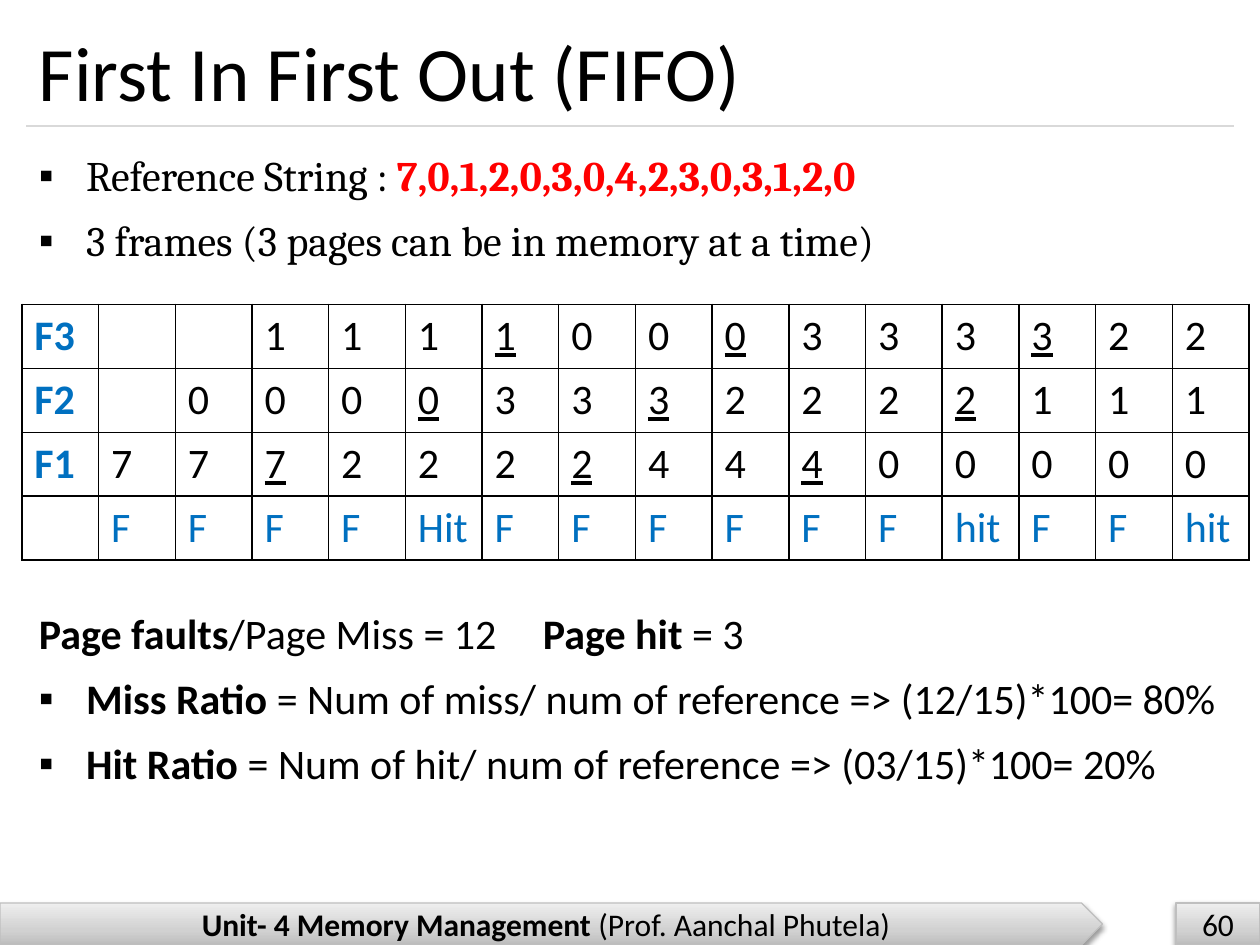
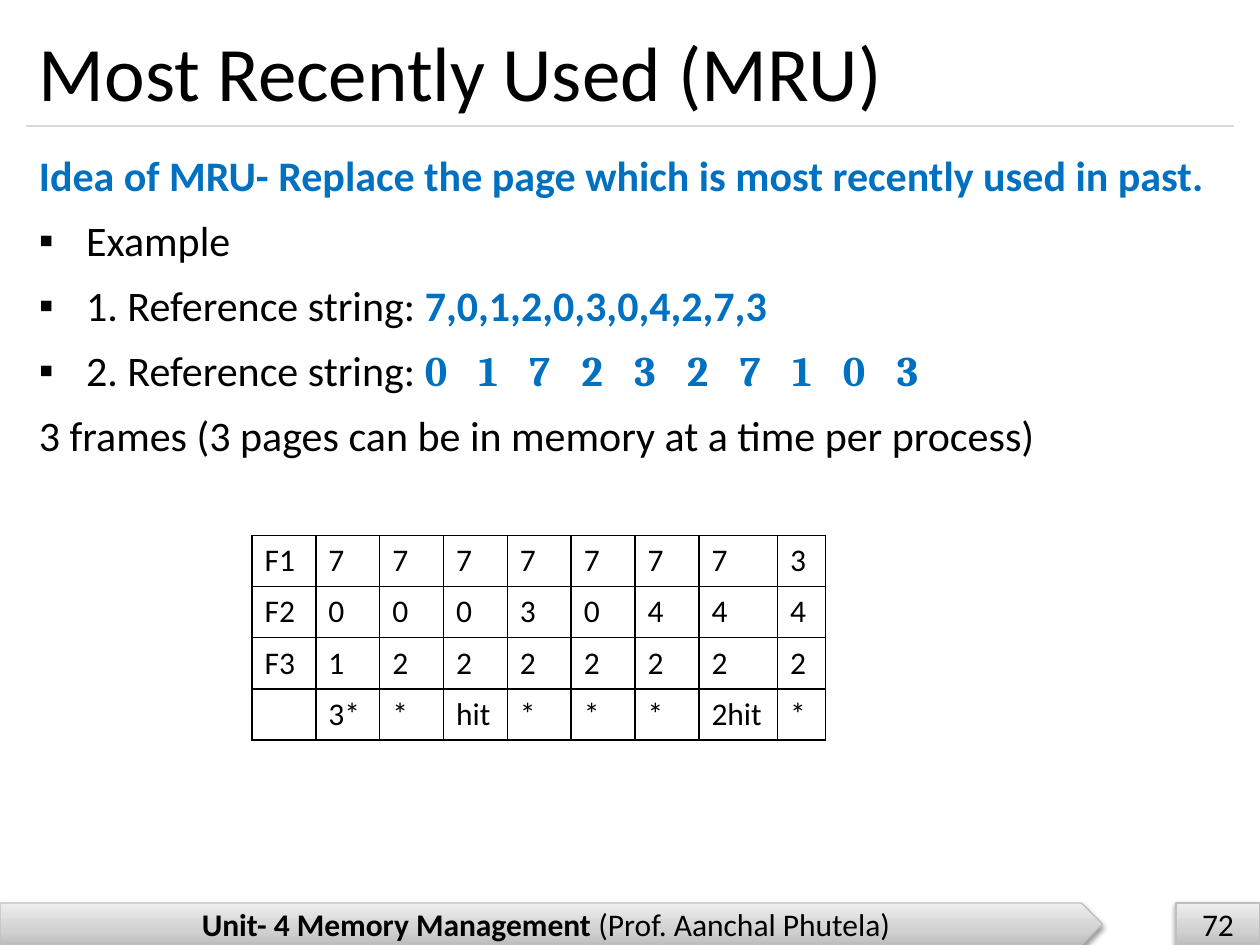
from pptx import Presentation
from pptx.dml.color import RGBColor
from pptx.enum.shapes import MSO_CONNECTOR, MSO_SHAPE
from pptx.enum.text import MSO_ANCHOR as Anchor, MSO_AUTO_SIZE as AutoSize, PP_ALIGN as Align
from pptx.oxml import parse_xml
from pptx.oxml.ns import nsdecls
from pptx.util import Pt
from lxml.etree import SubElement

COLORS = {
    "black": "000000", "blue": "0070C0", "red": "FF0000",
    "rule": "D9D9D9", "band_line": "BFBFBF",
    "band_dark": "BDBDBD", "band_mid": "D1D1D1", "band_light": "EEEEEE",
}
SANS, SERIF = "Calibri", "Cambria"
DRAWING = "{http://schemas.openxmlformats.org/drawingml/2006/main}"
HANGING = 27

# Boxes: left, top, width, height
TITLE_BOX = (15, 9, 690, 63)
BODY_BOX = (15, 78, 690, 420)
FOOTER_BOX = (0, 516, 630, 24)
NUMBER_BOX = (672, 516, 48, 24)


def rgb(name):
    return RGBColor.from_string(COLORS[name])


def place(shape, box):
    shape.left, shape.top, shape.width, shape.height = map(Pt, box)


def add_text(paragraph, text, size=24, font=SANS, color="black",
             bold=False, underline=False, spacing=None):
    run = paragraph.add_run()
    run.text = text
    run.font.size = Pt(size)
    run.font.name = font
    run.font.bold = bold
    run.font.underline = underline
    run.font.color.rgb = rgb(color)
    if spacing:
        run.font._element.set("spc", str(spacing * 100))


def add_title(slide, text, box):
    title = slide.shapes.title
    place(title, box)
    frame = title.text_frame
    frame.auto_size = AutoSize.NONE
    frame.vertical_anchor = Anchor.MIDDLE
    frame.paragraphs[0].alignment = Align.LEFT
    add_text(frame.paragraphs[0], text, size=44)


def set_bullet(paragraph, bullet, tab=None):
    properties = paragraph._p.get_or_add_pPr()
    properties.set("marL", str(Pt(HANGING if bullet else 0)))
    properties.set("indent", str(Pt(-HANGING if bullet else 0)))
    if bullet:
        SubElement(properties, DRAWING + "buChar", char="▪")
    else:
        SubElement(properties, DRAWING + "buNone")
    if tab:
        tabs = SubElement(properties, DRAWING + "tabLst")
        SubElement(tabs, DRAWING + "tab", pos=str(Pt(tab)), algn="l")


def add_body(slide, items, box):
    """Each item is (runs, options); options are bullet, tab and before."""
    body = slide.placeholders[1]
    place(body, box)
    frame = body.text_frame
    frame.auto_size = AutoSize.NONE
    for index, (runs, options) in enumerate(items):
        paragraph = frame.add_paragraph() if index else frame.paragraphs[0]
        set_bullet(paragraph, options.get("bullet", True), options.get("tab"))
        paragraph.line_spacing = 1.14
        paragraph.space_before = Pt(options.get("before", 4.3) if index else 0)
        for text, style in runs:
            add_text(paragraph, text, **style)


def add_band(slide, preset, runs, box):
    band = slide.shapes.add_shape(preset, *map(Pt, box))
    properties = band._element.spPr
    # Gradient, dark at the bottom
    stops = "".join(
        f'<a:gs pos="{position * 1000}"><a:srgbClr val="{COLORS[name]}"/></a:gs>'
        for position, name in ((0, "band_dark"), (35, "band_mid"), (100, "band_light")))
    properties.find(DRAWING + "prstGeom").addnext(parse_xml(
        f'<a:gradFill {nsdecls("a")} rotWithShape="1"><a:gsLst>{stops}</a:gsLst>'
        '<a:lin ang="16200000" scaled="0"/></a:gradFill>'))
    band.line.color.rgb = rgb("band_line")
    band.line.width = Pt(0.75)
    # Soft shadow below
    band.shadow.inherit = False
    properties.find(DRAWING + "effectLst").append(parse_xml(
        f'<a:outerShdw {nsdecls("a")} blurRad="{Pt(3.1)}" dist="{Pt(1.6)}" dir="5400000" '
        f'rotWithShape="0"><a:srgbClr val="{COLORS["black"]}"><a:alpha val="38000"/>'
        '</a:srgbClr></a:outerShdw>'))
    frame = band.text_frame
    frame.margin_top = frame.margin_bottom = 0
    frame.vertical_anchor = Anchor.MIDDLE
    paragraph = frame.paragraphs[0]
    paragraph.alignment = Align.CENTER
    for text, bold in runs:
        add_text(paragraph, text, size=18, bold=bold)


def add_furniture(slide, number):
    # Rule under the title
    left, top, width, height = TITLE_BOX
    rule = slide.shapes.add_connector(
        MSO_CONNECTOR.STRAIGHT, Pt(left), Pt(top + height), Pt(left + width), Pt(top + height))
    rule.line.color.rgb = rgb("rule")
    rule.line.width = Pt(0.75)
    SubElement(rule._element.spPr, DRAWING + "effectLst")
    # Footer and slide number
    add_band(slide, MSO_SHAPE.PENTAGON,
             [("Unit- 4 Memory Management ", True), ("(Prof. Aanchal Phutela)", False)], FOOTER_BOX)
    add_band(slide, MSO_SHAPE.RECTANGLE, [(str(number), False)], NUMBER_BOX)


def set_borders(cell):
    cell.fill.background()
    properties = cell._tc.get_or_add_tcPr()
    for index, side in enumerate(("lnL", "lnR", "lnT", "lnB")):
        properties.insert(index, parse_xml(
            f'<a:{side} {nsdecls("a")} w="{Pt(1)}"><a:solidFill>'
            f'<a:srgbClr val="{COLORS["black"]}"/></a:solidFill></a:{side}>'))


def add_frames_table(slide, rows, left, top, widths, row_height, size, accent="black", bold=False):
    """Rows are words; '.' is an empty cell and '_' underlines the page to go next."""
    cells = [row.split() for row in rows]
    table = slide.shapes.add_table(
        len(cells), len(widths), Pt(left), Pt(top),
        Pt(sum(widths)), Pt(row_height * len(cells))).table
    table.first_row = table.horz_banding = False
    for column, width in zip(table.columns, widths):
        column.width = Pt(width)
    for row_index, words in enumerate(cells):
        table.rows[row_index].height = Pt(row_height)
        for column_index, word in enumerate(words):
            cell = table.cell(row_index, column_index)
            set_borders(cell)
            if word == ".":
                continue
            is_label = column_index == 0
            is_result = row_index == len(cells) - 1
            add_text(cell.text_frame.paragraphs[0], word.strip("_"), size=size,
                     color=accent if is_label or is_result else "black",
                     bold=bold and is_label, underline=word.endswith("_"))


def add_content_slide(presentation, title, number, items):
    slide = presentation.slides.add_slide(presentation.slide_layouts[1])
    add_furniture(slide, number)
    add_title(slide, title, TITLE_BOX)
    add_body(slide, items, BODY_BOX)
    return slide


def add_fifo_slide(presentation):
    serif, strong = {"font": SERIF}, {"bold": True}
    slide = add_content_slide(presentation, "First In First Out (FIFO)", 60, [
        ([("Reference String : ", serif),
          ("7,0,1,2,0,3,0,4,2,3,0,3,1,2,0", {"font": SERIF, "color": "red", "bold": True})], {}),
        ([("3 frames (3 pages can be in memory at a time)", serif)], {}),
        ([("Page faults", strong), ("/Page Miss = 12\t", {}), ("Page hit ", strong), ("= 3", {})],
         {"bullet": False, "tab": 387.4, "before": 191.7}),
        ([("Miss Ratio ", strong),
          ("= Num of miss/ num of reference => (12/15)*100= 80%", {})], {}),
        ([("Hit Ratio ", strong),
          ("= Num of hit/ num of reference => (03/15)*100= 20%", {})], {}),
    ])
    add_frames_table(slide, [
        "F3 . . 1 1 1 1_ 0 0 0_ 3 3 3 3_ 2 2",
        "F2 . 0 0 0 0_ 3 3 3_ 2 2 2 2_ 1 1 1",
        "F1 7 7 7_ 2 2 2 2_ 4 4 4_ 0 0 0 0 0",
        ". F F F F Hit F F F F F F hit F F hit",
    ], left=12.5, top=174, widths=[43.83] * 16, row_height=36.5, size=24,
        accent="blue", bold=True)


def add_mru_slide(presentation):
    highlight = {"color": "blue", "bold": True}
    slide = add_content_slide(presentation, "Most Recently Used (MRU)", 72, [
        ([("Idea of MRU- Replace the page which is most recently used in past.", highlight)],
         {"bullet": False}),
        ([("Example", {})], {}),
        ([("1. Reference string: ", {}), ("7,0,1,2,0,3,0,4,2,7,3", highlight)], {}),
        ([("2. Reference string: ", {}),
          ("0172327103", {**highlight, "font": SERIF, "spacing": 18})], {}),
        ([("3 frames (3 pages can be in memory at a time per process)", {})], {"bullet": False}),
    ])
    add_frames_table(slide, [
        "F1 7 7 7 7 7 7 7 3",
        "F2 0 0 0 3 0 4 4 4",
        "F3 1 2 2 2 2 2 2 2",
        ". 3* * hit * * * 2hit *",
    ], left=144, top=306, widths=[36.5] * 7 + [45, 27.5], row_height=29.2, size=18)


def main():
    presentation = Presentation()
    presentation.slide_width, presentation.slide_height = Pt(720), Pt(540)
    add_fifo_slide(presentation)
    add_mru_slide(presentation)
    presentation.save("out.pptx")


if __name__ == "__main__":
    main()
